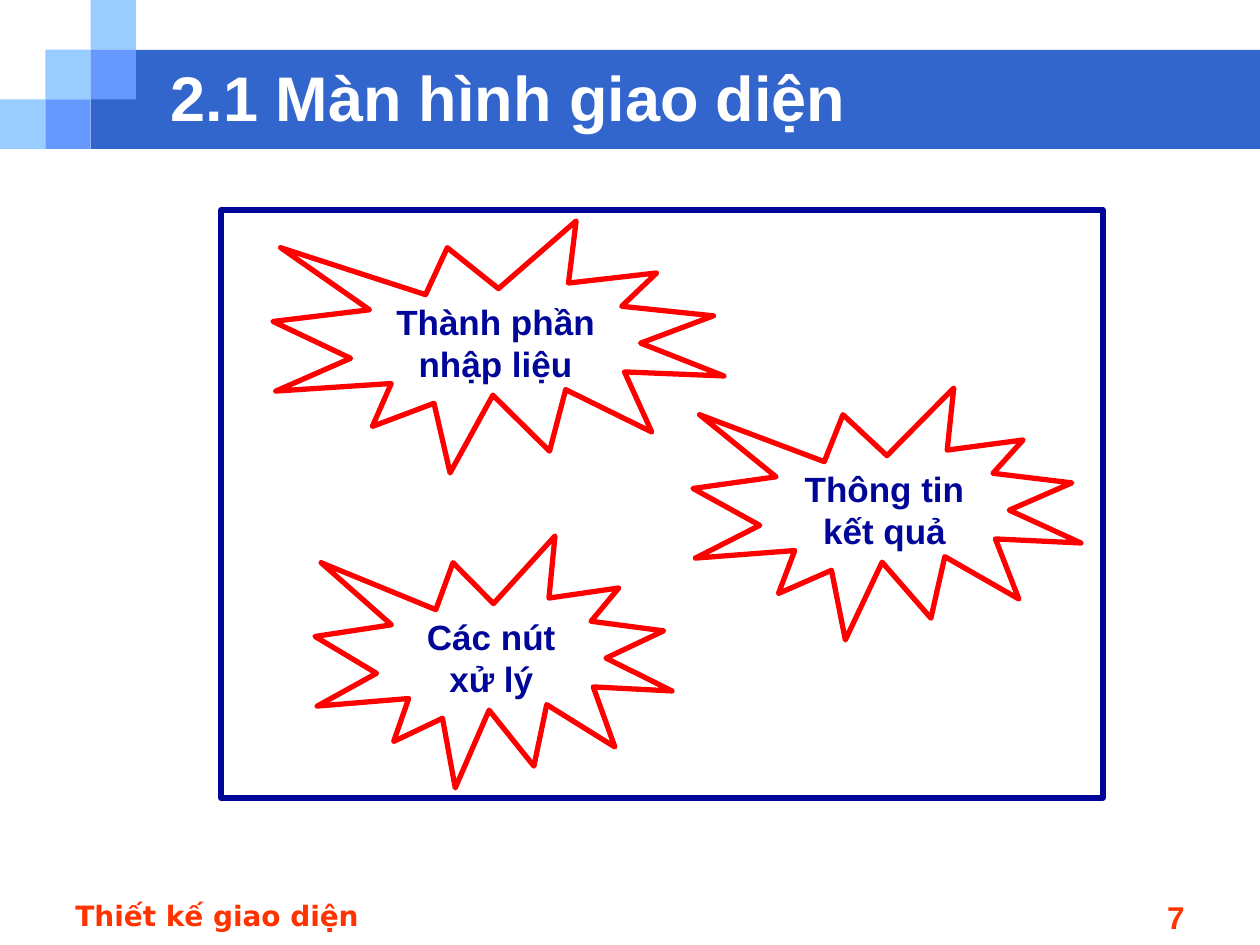
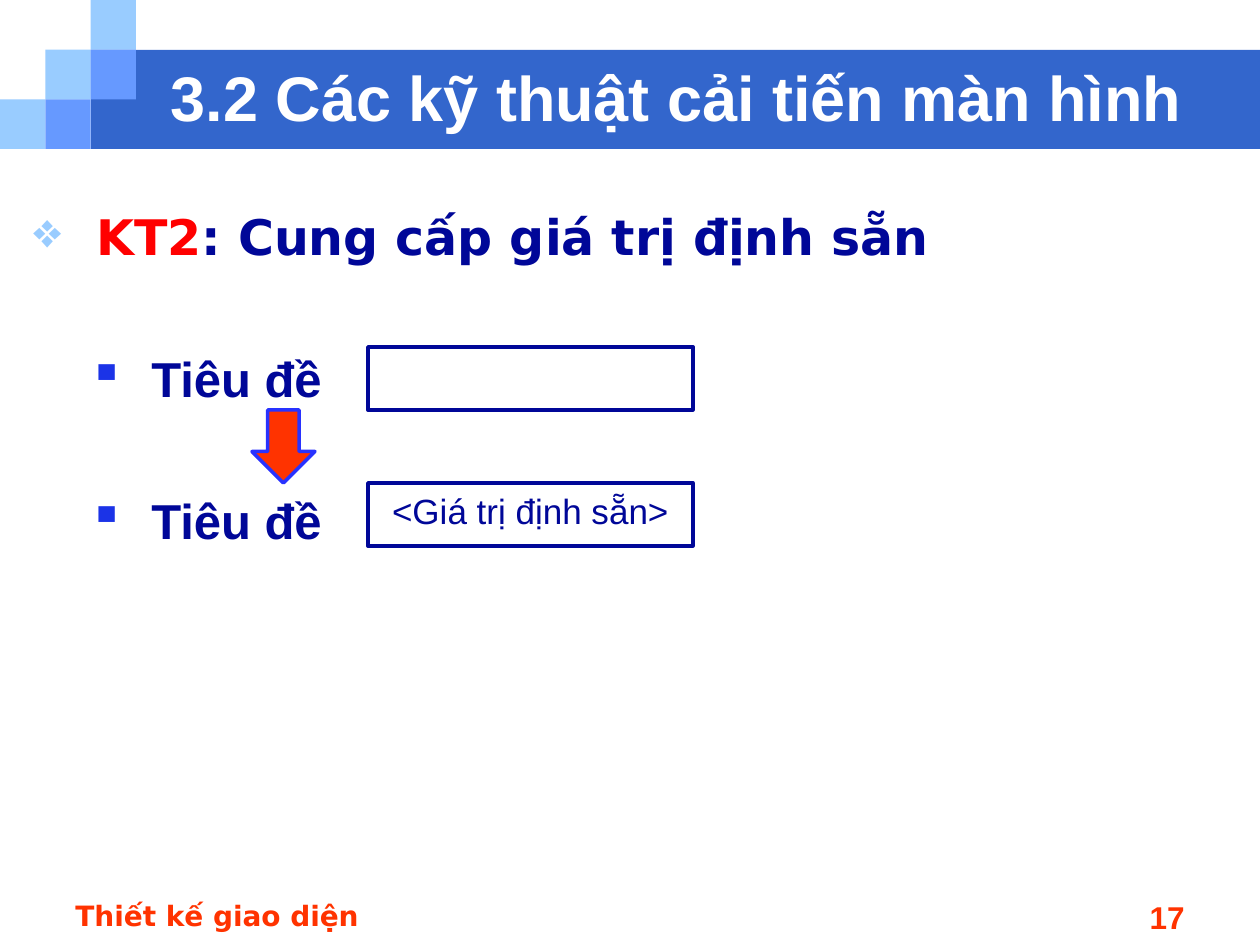
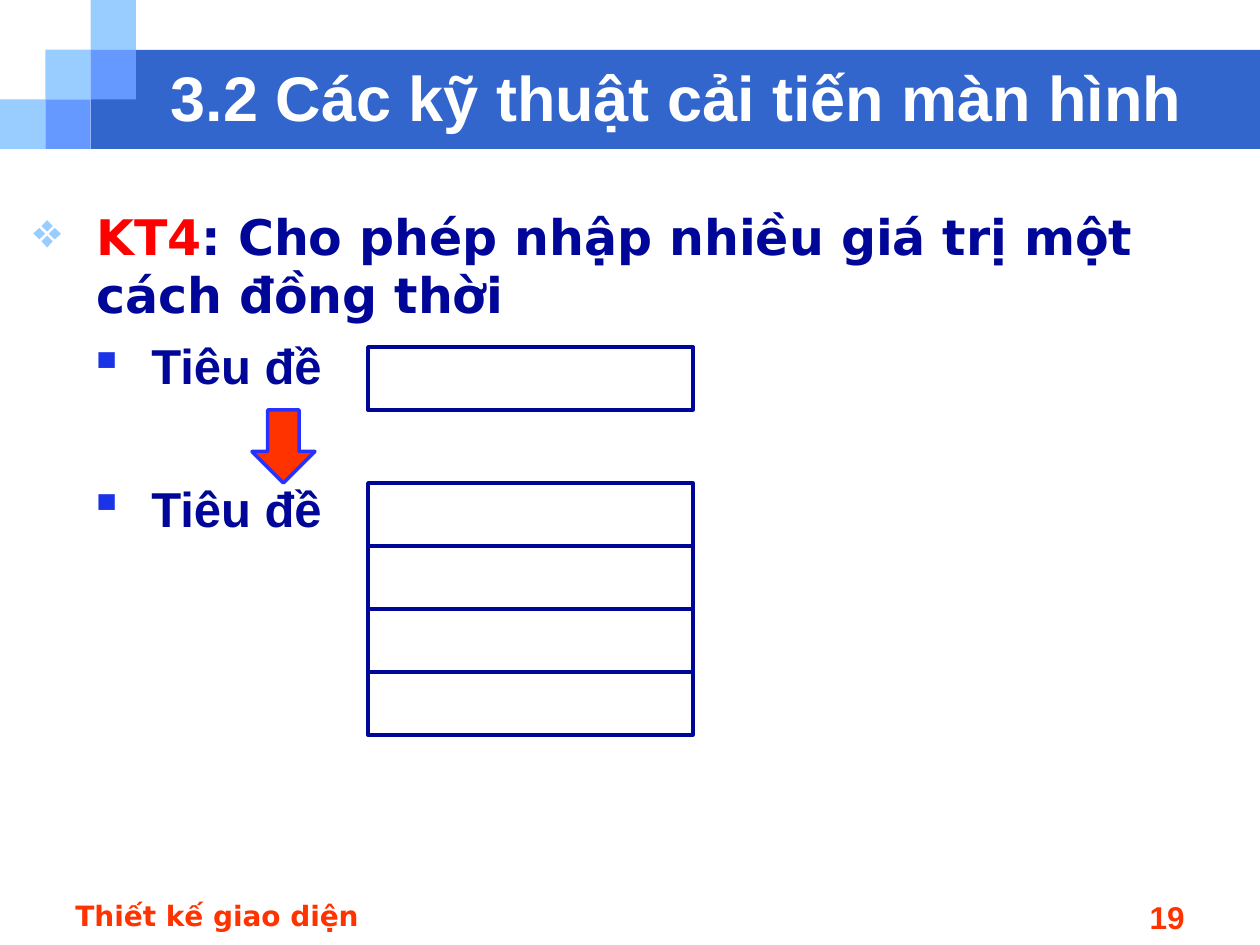
from lxml import etree
from pptx import Presentation
from pptx.dml.color import RGBColor
from pptx.enum.shapes import MSO_SHAPE
from pptx.enum.text import MSO_ANCHOR, MSO_AUTO_SIZE, PP_ALIGN
from pptx.oxml.ns import qn
from pptx.util import Emu, Pt

RECTANGLE = MSO_SHAPE.RECTANGLE
BURST = MSO_SHAPE.EXPLOSION1
DOWN_ARROW = MSO_SHAPE.DOWN_ARROW
LEFT, CENTER, RIGHT = PP_ALIGN.LEFT, PP_ALIGN.CENTER, PP_ALIGN.RIGHT
TOP, MIDDLE = MSO_ANCHOR.TOP, MSO_ANCHOR.MIDDLE

PX_PER_INCH = 126
LINE_HEIGHT = 1.2
BODY_SIZE = 28
BODY_GAP = 7
WIDE_GAP = 2 * BODY_GAP + BODY_SIZE * LINE_HEIGHT

HEADING_FONT, TEXT_FONT = "DejaVu Sans", "Arial"
WHITE, BAND, SKY, PERIWINKLE = "FFFFFF", "3366CC", "99CCFF", "6699FF"
NAVY, RED, ORANGE = "000798", "FF0000", "FF3300"
BULLET_BLUE, ARROW_EDGE = "1B33E7", "2832FF"

FIELD_LEFT, FIELD_WIDTH, FIELD_HEIGHT = 368, 325, 63
BEFORE_TOP, AFTER_TOP = 347, 483


def px(value):
    return Emu(round(value * 914400 / PX_PER_INCH))


def color(value):
    return RGBColor.from_string(value)


def add_text(para, text, size=BODY_SIZE, font=TEXT_FONT, ink=NAVY, bold=True,
             align=LEFT):
    para.alignment = align
    para.line_spacing = Pt(size * LINE_HEIGHT)
    span = para.add_run()
    span.text = text
    span.font.size = Pt(size)
    span.font.name = font
    span.font.bold = bold
    span.font.color.rgb = color(ink)


def add_bullet(para, mark, ink, margin, hanging):
    properties = para._p.get_or_add_pPr()
    properties.set("marL", str(px(margin)))
    properties.set("indent", str(-px(hanging)))
    bullet_color = etree.SubElement(properties, qn("a:buClr"))
    etree.SubElement(bullet_color, qn("a:srgbClr"), val=ink)
    etree.SubElement(properties, qn("a:buChar"), char=mark)


class Slides:
    def __init__(self):
        self.deck = Presentation()
        self.deck.slide_width = px(1260)
        self.deck.slide_height = px(945)
        self.page = None

    def start(self, title, number, title_width=1061):
        self.page = self.deck.slides.add_slide(self.deck.slide_layouts[5])
        self.shape(RECTANGLE, 91, 50, 1169, 99, fill=BAND)
        squares = [(0, 2, SKY), (1, 1, SKY), (2, 0, SKY),
                   (2, 1, PERIWINKLE), (1, 2, PERIWINKLE)]
        for column, row, fill in squares:
            self.shape(RECTANGLE, column * 45.33, row * 49.67, 45.33, 49.67, fill=fill)
        self.title(title, title_width)
        self.label(str(number), 903, 294, size=18, ink=ORANGE, align=RIGHT)
        self.label("Thiết kế giao diện", 63, 399, size=16, font=HEADING_FONT, ink=ORANGE)

    def title(self, text, width):
        box = self.page.shapes.title
        box.left, box.top, box.width, box.height = px(158), px(63), px(width), px(67)
        self.page.shapes._spTree.append(box._element)
        frame = box.text_frame
        frame.auto_size = MSO_AUTO_SIZE.NONE
        frame.vertical_anchor = MIDDLE
        add_text(frame.paragraphs[0], text, size=36, ink=WHITE)

    def shape(self, kind, left, top, width, height, fill=None, line=None,
              weight=2, text=None, **style):
        box = self.page.shapes.add_shape(kind, px(left), px(top), px(width), px(height))
        box.shadow.inherit = False
        if fill:
            box.fill.solid()
            box.fill.fore_color.rgb = color(fill)
        else:
            box.fill.background()
        if line:
            box.line.color.rgb = color(line)
            box.line.width = Pt(weight)
        else:
            box.line.fill.background()
        if text:
            box.text_frame.vertical_anchor = TOP
            add_text(box.text_frame.paragraphs[0], text, size=20, align=CENTER, **style)

    def text_box(self, left, top, width, height):
        box = self.page.shapes.add_textbox(px(left), px(top), px(width), px(height))
        box.text_frame.word_wrap = True
        return box.text_frame

    def label(self, text, left, width, **style):
        frame = self.text_box(left, 892, width, 44)
        add_text(frame.paragraphs[0], text, **style)

    def technique(self, code, description, first_gap):
        frame = self.text_box(21, 200, 1223, 651)
        heading = frame.paragraphs[0]
        add_bullet(heading, "❖", SKY, 63, 63)
        add_text(heading, code, font=HEADING_FONT, ink=RED)
        add_text(heading, ": " + description, font=HEADING_FONT)
        for gap in (first_gap, WIDE_GAP):
            para = frame.add_paragraph()
            para.level = 1
            add_bullet(para, "▪", BULLET_BLUE, 118, 63)
            para.space_before = Pt(gap)
            add_text(para, "Tiêu đề")

    def field(self, top, text=None):
        self.shape(RECTANGLE, FIELD_LEFT, top, FIELD_WIDTH, FIELD_HEIGHT,
                   line=NAVY, text=text, bold=False)

    def arrow(self):
        self.shape(DOWN_ARROW, 252, 410, 63, 73, fill=ORANGE, line=ARROW_EDGE)


def main():
    slides = Slides()

    slides.start("2.1 Màn hình giao diện", 7, title_width=1018)
    slides.shape(RECTANGLE, 221, 210, 882, 588, line=NAVY, weight=3)
    bursts = [("Thành phần nhập liệu", 273, 221, 451),
              ("Các nút xử lý", 315, 536, 357),
              ("Thông tin kết quả", 693, 388, 388)]
    for text, left, top, width in bursts:
        slides.shape(BURST, left, top, width, 252, line=RED, weight=3, text=text)

    improvement_title = "3.2 Các kỹ thuật cải tiến màn hình"
    slides.start(improvement_title, 17)
    slides.technique("KT2", "Cung cấp giá trị định sẵn", WIDE_GAP)
    slides.field(BEFORE_TOP)
    slides.field(AFTER_TOP, "<Giá trị định sẵn>")
    slides.arrow()

    slides.start(improvement_title, 19)
    slides.technique("KT4", "Cho phép nhập nhiều giá trị một cách đồng thời", BODY_GAP)
    slides.field(BEFORE_TOP)
    for row in range(4):
        slides.field(AFTER_TOP + row * FIELD_HEIGHT)
    slides.arrow()

    slides.deck.save("out.pptx")


if __name__ == "__main__":
    main()
